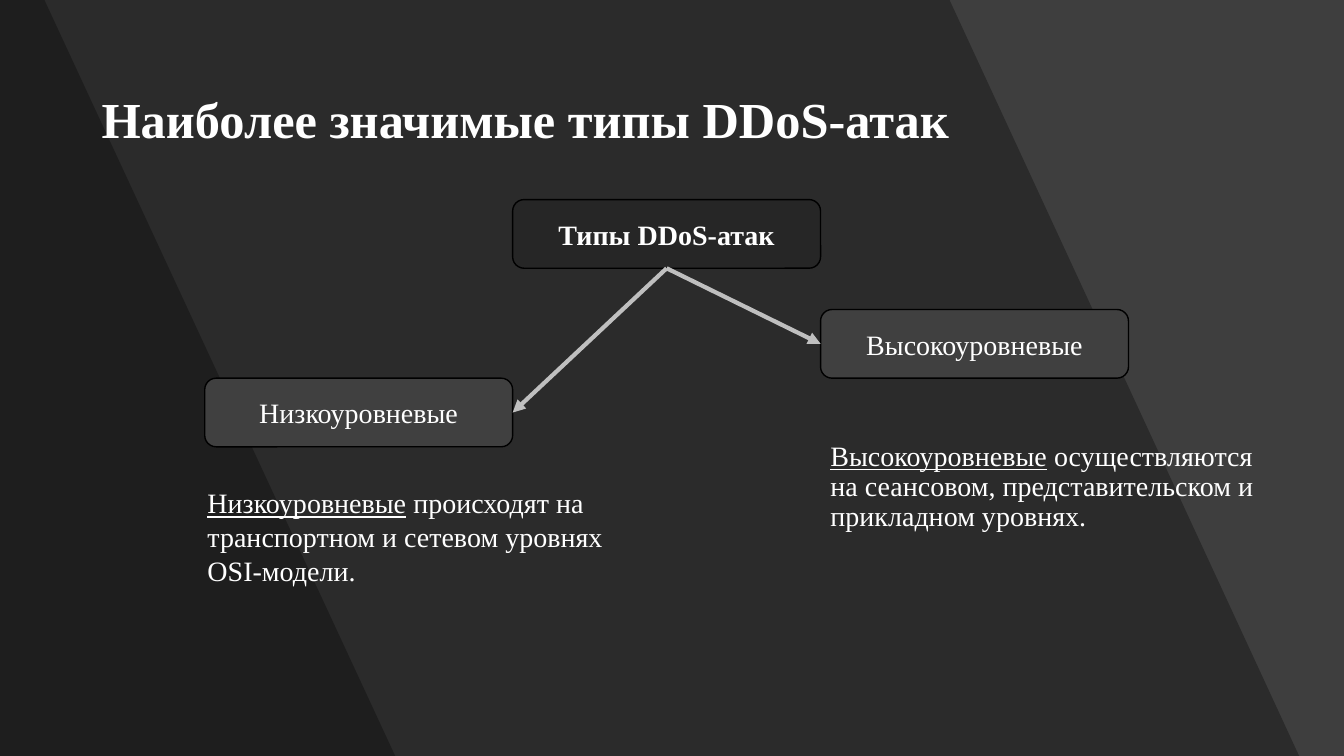
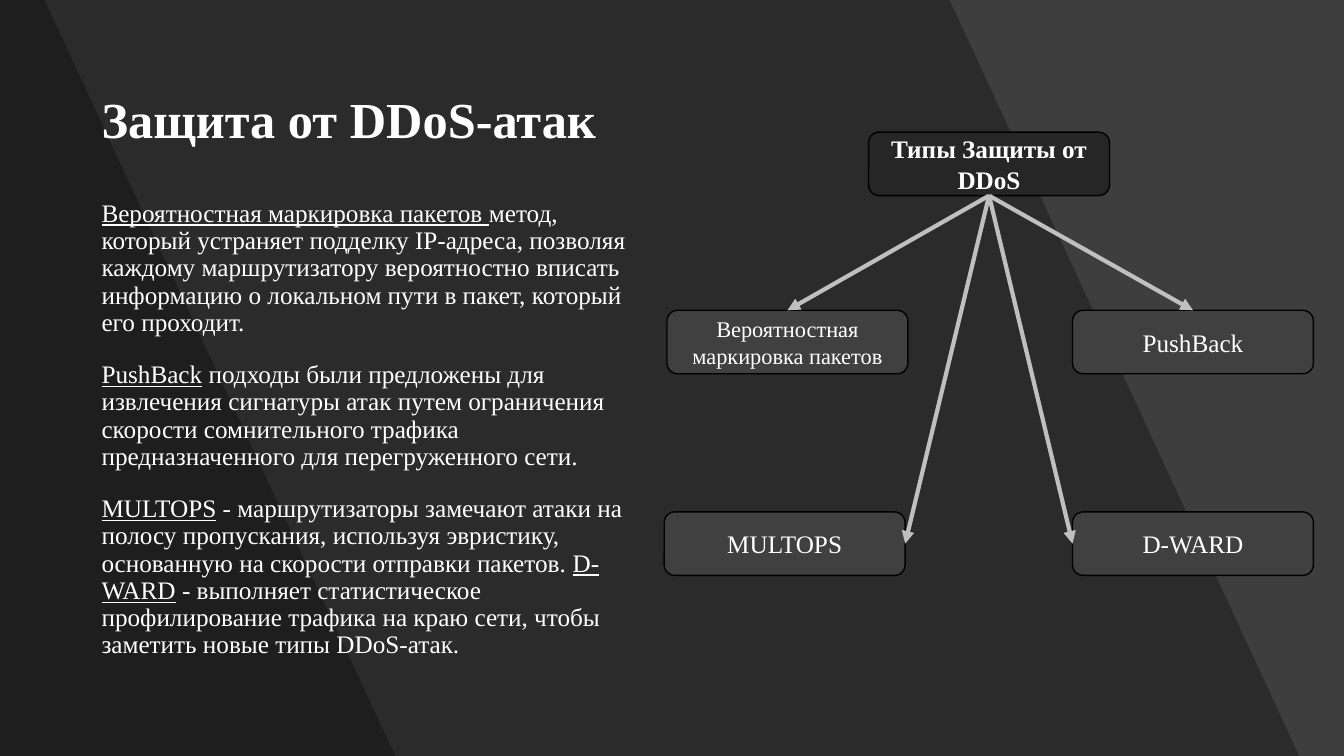
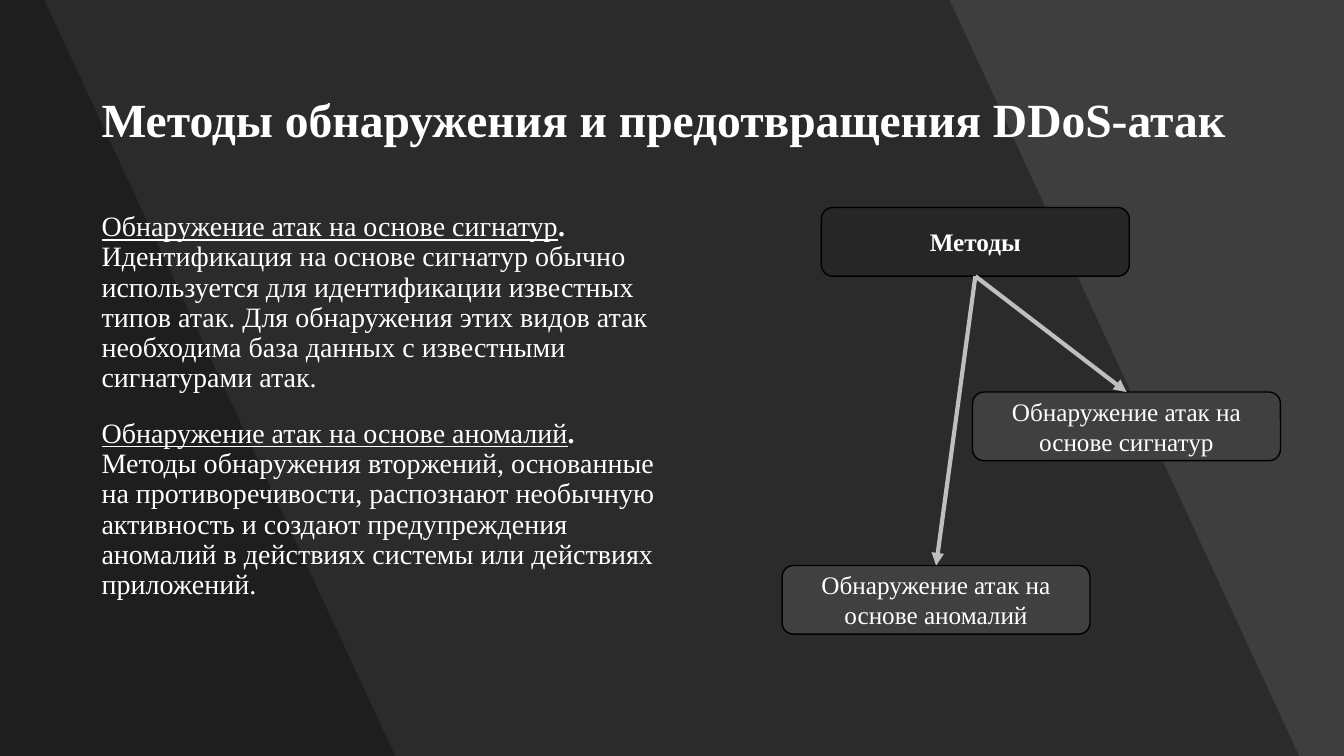
"""Build three dark slides about DDoS attacks, protection and detection."""
from lxml import etree
from pptx import Presentation
from pptx.dml.color import RGBColor
from pptx.enum.shapes import MSO_CONNECTOR, MSO_SHAPE
from pptx.enum.text import MSO_ANCHOR, PP_ALIGN
from pptx.oxml.ns import qn
from pptx.util import Cm, Pt

RECT = MSO_SHAPE.RECTANGLE
ROUNDED = MSO_SHAPE.ROUNDED_RECTANGLE
STRAIGHT = MSO_CONNECTOR.STRAIGHT
MIDDLE = MSO_ANCHOR.MIDDLE
TOP_ANCHOR = MSO_ANCHOR.TOP
CENTER = PP_ALIGN.CENTER

BACKGROUND = RGBColor(0x45, 0x45, 0x45)
BLACK = RGBColor(0x00, 0x00, 0x00)
WHITE = RGBColor(0xFF, 0xFF, 0xFF)
ROOT_FILL = RGBColor(0x26, 0x26, 0x26)
NODE_FILL = RGBColor(0x40, 0x40, 0x40)
ARROW = RGBColor(0xBF, 0xBF, 0xBF)

FONT = "Times New Roman"
WIDTH, HEIGHT = 33.87, 19.05
BANDS = [(23.93, 32.74), (1.12, 9.96)]
LEFT = 2.31
WIDE_BOX = (7.76, 1.73)
SMALL_BOX = (6.07, 1.6)
SITE_TOP, SITE_LEFT, SITE_BOTTOM, SITE_RIGHT = range(4)


def shade(sp, percent):
    sp.shadow.inherit = False
    sp.fill.solid()
    sp.fill.fore_color.rgb = BLACK
    sp.line.fill.background()
    color = sp._element.spPr.find(qn("a:solidFill"))[0]
    etree.SubElement(color, qn("a:alpha"), val=str(percent * 1000))


def style(p, size, bold=False):
    p.font.name = FONT
    p.font.size = Pt(size)
    p.font.bold = bold
    p.font.color.rgb = WHITE


def add_text(s, box, paragraphs, size, bold=False, anchor=TOP_ANCHOR,
             spacing=0.9, before=10, after=8):
    tf = s.shapes.add_textbox(*map(Cm, box)).text_frame
    tf.word_wrap = True
    tf.vertical_anchor = anchor
    for i, runs in enumerate(paragraphs):
        p = tf.add_paragraph() if i else tf.paragraphs[0]
        style(p, size, bold)
        p.line_spacing = spacing
        p.space_before, p.space_after = Pt(before), Pt(after)
        for text, mark in runs:
            r = p.add_run()
            r.text = text
            if mark == "u":
                r.font.underline = True
            elif mark == "b":
                r.font.bold = True


def add_slide(prs, title, size=36):
    s = prs.slides.add_slide(prs.slide_layouts[6])
    s.background.fill.solid()
    s.background.fill.fore_color.rgb = BACKGROUND
    shade(s.shapes.add_shape(RECT, 0, 0, Cm(WIDTH), Cm(HEIGHT)), 9)
    for top, bottom in BANDS:
        outline = s.shapes.build_freeform(0, 0)
        outline.add_line_segments([(Cm(top), 0), (Cm(bottom), Cm(HEIGHT)),
                                   (0, Cm(HEIGHT))])
        shade(outline.convert_to_shape(), 30)
    add_text(s, (LEFT, 1.24, 29.24, 3.68), [[(title, "")]], size, bold=True,
             anchor=MIDDLE, before=0, after=0)
    return s


def add_node(s, x, y, box, text, size, root=False):
    sp = s.shapes.add_shape(ROUNDED, Cm(x), Cm(y), *map(Cm, box))
    sp.shadow.inherit = False
    sp.fill.solid()
    sp.fill.fore_color.rgb = ROOT_FILL if root else NODE_FILL
    sp.line.color.rgb = BLACK
    sp.line.width = Pt(1)
    tf = sp.text_frame
    tf.word_wrap = True
    tf.vertical_anchor = MIDDLE
    p = tf.paragraphs[0]
    p.text = text
    p.alignment = CENTER
    style(p, size, root)
    return sp


def add_arrow(s, root, node, site):
    c = s.shapes.add_connector(STRAIGHT, 0, 0, 0, 0)
    c.begin_connect(root, SITE_BOTTOM)
    c.end_connect(node, site)
    c.line.color.rgb = ARROW
    c.line.width = Pt(3)
    spPr = c._element.spPr
    etree.SubElement(spPr.find(qn("a:ln")), qn("a:tailEnd"), type="triangle")
    etree.SubElement(spPr, qn("a:effectLst"))


def add_tree(s, box, root, nodes):
    x, y, text, size = root
    top = add_node(s, x, y, box, text, size, root=True)
    for x, y, text, size, site in nodes:
        add_arrow(s, top, add_node(s, x, y, box, text, size), site)


def attack_types(prs):
    s = add_slide(prs, "Наиболее значимые типы DDoS-атак")
    add_text(s, (20.68, 11.02, 11.33, 3.1), [[
        ("Высокоуровневые", "u"),
        (" осуществляются на сеансовом, представительском и прикладном "
         "уровнях.", "")]], 20)
    add_text(s, (4.98, 12.12, 11.81, 2.82), [[
        ("Низкоуровневые", "u"),
        (" происходят на транспортном и сетевом уровнях OSI-модели.", "")]],
        20, spacing=1, before=0)
    low, root, high = (5.16 + i * WIDE_BOX[0] for i in range(3))
    add_tree(s, WIDE_BOX, (root, 5.03, "Типы DDoS-атак", 20), [
        (low, 9.53, "Низкоуровневые", 20, SITE_RIGHT),
        (high, 7.8, "Высокоуровневые", 20, SITE_LEFT)])


def protection(prs):
    s = add_slide(prs, "Защита от DDoS-атак")
    add_text(s, (LEFT, 4.93, 14.07, 12.88), [
        [("Вероятностная маркировка пакетов ", "u"),
         ("метод, который устраняет подделку IP-адреса, позволяя каждому "
          "маршрутизатору вероятностно вписать информацию о локальном пути "
          "в пакет, который его проходит.", "")],
        [("PushBack", "u"),
         (" подходы были предложены для извлечения сигнатуры атак путем "
          "ограничения скорости сомнительного трафика предназначенного для "
          "перегруженного сети.", "")],
        [("MULTOPS", "u"),
         (" - маршрутизаторы замечают атаки на полосу пропускания, используя "
          "эвристику, основанную на скорости отправки пакетов. ", ""),
         ("D-WARD", "u"),
         (" - выполняет статистическое профилирование трафика на краю сети, "
          "чтобы заметить новые типы DDoS-атак.", "")]], 18)
    right, upper, lower = 27.03, 7.82, 12.9
    add_tree(s, SMALL_BOX, (21.89, 3.33, "Типы Защиты от DDoS", 18), [
        (right, upper, "PushBack", 18, SITE_TOP),
        (right, lower, "D-WARD", 18, SITE_LEFT),
        (16.81, upper, "Вероятностная маркировка пакетов", 16, SITE_TOP),
        (16.74, lower, "MULTOPS", 18, SITE_RIGHT)])


def detection(prs):
    s = add_slide(prs, "Методы обнаружения и предотвращения DDoS-атак", 34)
    signatures = "Обнаружение атак на основе сигнатур"
    anomalies = "Обнаружение атак на основе аномалий"
    add_text(s, (LEFT, 5.23, 14.63, 12.57), [
        [(signatures, "u"), (". ", "b"),
         ("Идентификация на основе сигнатур обычно используется для "
          "идентификации известных типов атак. Для обнаружения этих видов "
          "атак необходима база данных с известными сигнатурами атак.", "")],
        [(anomalies, "u"), (". ", "b"),
         ("Методы обнаружения вторжений, основанные на противоречивости, "
          "распознают необычную активность и создают предупреждения аномалий "
          "в действиях системы или действиях приложений.", "")]], 20)
    add_tree(s, WIDE_BOX, (20.7, 5.23, "Методы", 18), [
        (19.71, 14.25, anomalies, 18, SITE_TOP),
        (24.51, 9.88, signatures, 18, SITE_TOP)])


def main():
    prs = Presentation()
    prs.slide_width, prs.slide_height = Cm(WIDTH), Cm(HEIGHT)
    attack_types(prs)
    protection(prs)
    detection(prs)
    prs.save("out.pptx")


if __name__ == "__main__":
    main()
